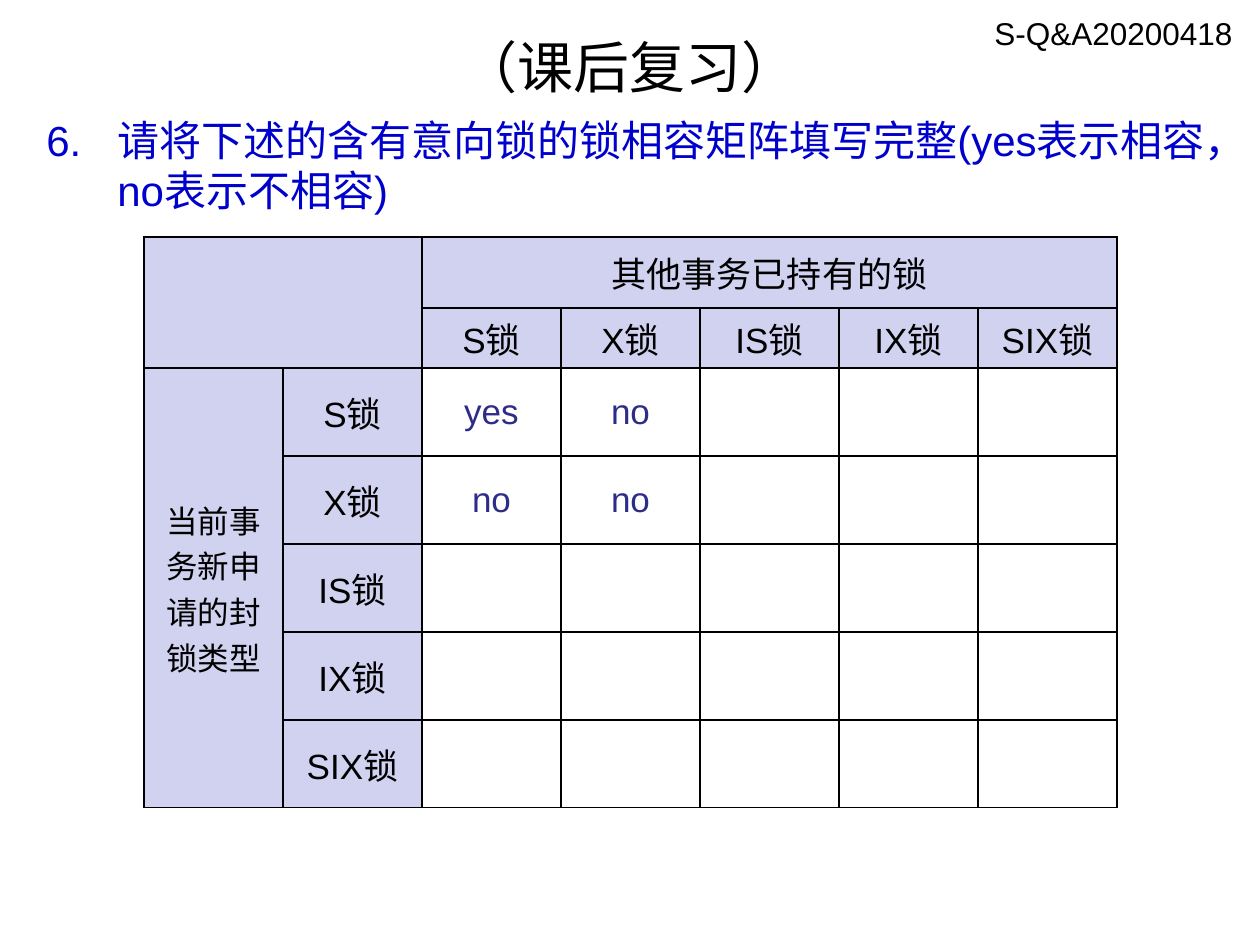
from lxml.etree import SubElement
from pptx import Presentation
from pptx.dml.color import RGBColor
from pptx.enum.text import MSO_ANCHOR as Anchor, MSO_AUTO_SIZE as AutoSize, PP_ALIGN as Align
from pptx.oxml.ns import qn
from pptx.util import Emu, Pt

EMU_PER_PX = 914400 / 126
BLACK, BLUE, NAVY, LILAC = "000000", "0000CC", "2D2D89", "D1D1F0"


def px(length):
    return Emu(round(length * EMU_PER_PX))


def color(hex_value):
    return RGBColor.from_string(hex_value)


def write(frame, text, size=20, ink=BLACK, align=Align.CENTER, asian_font=None):
    paragraph = frame.paragraphs[0]
    paragraph.alignment = align
    run = paragraph.add_run()
    run.text = text
    run.font.name = "Arial"
    run.font.size = Pt(size)
    run.font.color.rgb = color(ink)
    if asian_font:
        SubElement(run.font._element, qn("a:ea"), typeface=asian_font)
    return paragraph


class ReviewSlide:
    def __init__(self, deck):
        self.slide = deck.slides.add_slide(deck.slide_layouts[5])

    def title(self, text, left, top, width, height):
        title = self.slide.shapes.title
        title.left, title.top, title.width, title.height = map(px, (left, top, width, height))
        title.text_frame.vertical_anchor = Anchor.MIDDLE
        title.text_frame.auto_size = AutoSize.NONE
        write(title.text_frame, text, size=32, asian_font="Arial")

    def text(self, text, left, top, width, height, **style):
        box = self.slide.shapes.add_textbox(*map(px, (left, top, width, height)))
        box.text_frame.word_wrap = True
        return write(box.text_frame, text, **style)

    def numbered(self, number, text, left, top, width, height, indent, **style):
        paragraph = self.text(text, left, top, width, height, align=Align.LEFT, **style)
        paragraph.space_before = Pt(5)
        properties = paragraph._p.get_or_add_pPr()
        properties.set("marL", str(px(indent)))
        properties.set("indent", str(-px(indent)))
        SubElement(properties, qn("a:buAutoNum"), type="arabicPeriod", startAt=str(number))

    def table(self, left, top, columns, rows):
        frame = self.slide.shapes.add_table(
            len(rows), len(columns), *map(px, (left, top, sum(columns), sum(rows))))
        table = frame.table
        table.first_row = table.horz_banding = False
        for column, width in zip(table.columns, columns):
            column.width = px(width)
        for row, height in zip(table.rows, rows):
            row.height = px(height)
        for cell in table.iter_cells():
            self.border(cell)
            cell.fill.background()
            cell.margin_top = cell.margin_bottom = px(4)
            cell.vertical_anchor = Anchor.MIDDLE
        return table

    def border(self, cell):
        properties = cell._tc.get_or_add_tcPr()
        for side in ("lnL", "lnR", "lnT", "lnB"):
            line = SubElement(properties, qn(f"a:{side}"), w=str(Pt(1)))
            fill = SubElement(line, qn("a:solidFill"))
            SubElement(fill, qn("a:srgbClr"), val=BLACK)

    def heading(self, cell, text="", size=20):
        cell.fill.solid()
        cell.fill.fore_color.rgb = color(LILAC)
        if text:
            write(cell.text_frame, text, size=size)


def main():
    deck = Presentation()
    deck.slide_width, deck.slide_height = px(1260), px(945)
    review = ReviewSlide(deck)

    # Title, question and session label
    review.title("（课后复习）", 63, 26, 1134, 81)
    review.numbered(6, "请将下述的含有意向锁的锁相容矩阵填写完整(yes表示相容，no表示不相容)",
                    34, 108, 1184, 115, indent=71, size=24, ink=BLUE, asian_font="Arial")
    review.text("S-Q&A20200418", 969, 8, 276, 50, size=18, align=Align.RIGHT)

    # Lock compatibility matrix: two header rows and two header columns
    locks = ["S锁", "X锁", "IS锁", "IX锁", "SIX锁"]
    matrix = review.table(144, 237, [139] * 7, [71, 60] + [88] * 5)
    corner, held, requested = matrix.cell(0, 0), matrix.cell(0, 2), matrix.cell(2, 0)
    corner.merge(matrix.cell(1, 1))
    held.merge(matrix.cell(0, 6))
    requested.merge(matrix.cell(6, 0))
    review.heading(corner)
    review.heading(held, "其他事务已持有的锁")
    review.heading(requested, "当前事务新申请的封锁类型", size=18)
    requested._tc.get_or_add_tcPr().set("vert", "eaVert")
    for position, lock in enumerate(locks, start=2):
        review.heading(matrix.cell(1, position), lock)
        review.heading(matrix.cell(position, 1), lock)

    # Answers already given
    for row, answers in enumerate([["yes", "no"], ["no", "no"]], start=2):
        for column, answer in enumerate(answers, start=2):
            write(matrix.cell(row, column).text_frame, answer, ink=NAVY)

    deck.save("out.pptx")


if __name__ == "__main__":
    main()
